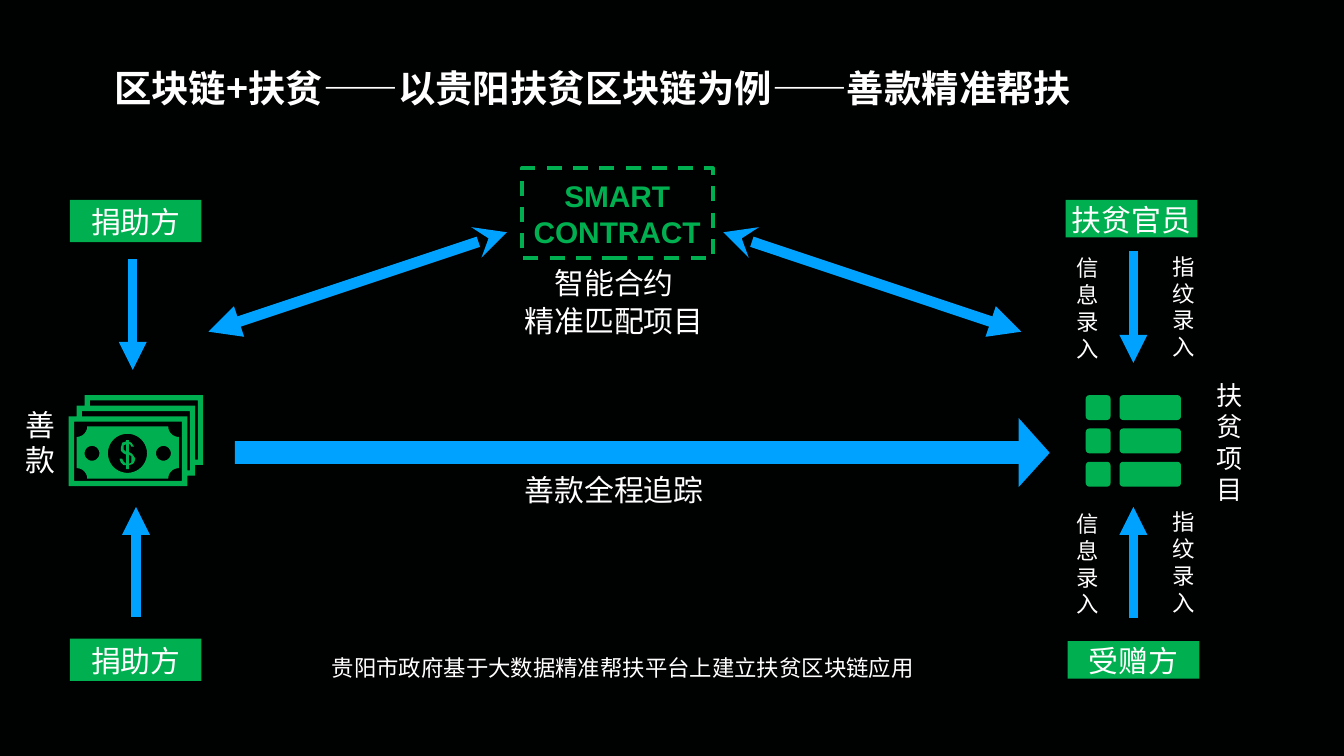
from math import cos, pi, sin

from lxml.etree import SubElement
from pptx import Presentation
from pptx.dml.color import RGBColor
from pptx.enum.dml import MSO_LINE as Dash
from pptx.enum.shapes import MSO_CONNECTOR as Connector, MSO_SHAPE as Preset
from pptx.enum.text import MSO_ANCHOR as Anchor, MSO_AUTO_SIZE as AutoSize, PP_ALIGN as Align
from pptx.oxml.ns import qn
from pptx.util import Cm, Pt


def colour(value):
    return RGBColor.from_string(value)


def arc(x, y, radius, start, end, steps=8):
    angles = [(start + (end - start) * i / steps) * pi / 180 for i in range(steps + 1)]
    return [(x + radius * cos(a), y + radius * sin(a)) for a in angles]


def circle(x, y, radius):
    return arc(x, y, radius, 0, 360, 40)


def rounded_box(left, top, width, height, radius):
    right, bottom = left + width - radius, top + height - radius
    corners = [(left + radius, top + radius), (right, top + radius),
               (right, bottom), (left + radius, bottom)]
    return [point for i, (x, y) in enumerate(corners)
            for point in arc(x, y, radius, 180 + 90 * i, 270 + 90 * i, 4)]


def notched_box(left, top, right, bottom, radius):
    corners = [(left, top), (right, top), (right, bottom), (left, bottom)]
    return [point for i, (x, y) in enumerate(corners)
            for point in arc(x, y, radius, 90 + 90 * i, 90 * i)]


def dollar_sign(x, y, unit=0.025):
    body = [(1, 9), (1, 12), (-1, 12), (-1, 9), (-3, 9), (-5, 7), (-6, 4), (-4, 4), (-3, 6),
            (-1, 8), (-1, 1), (-3, 0), (-5, -2), (-5, -4), (-4, -8), (-1, -9), (-1, -10),
            (1, -10), (1, -9), (3, -8), (5, -5), (3, -5), (2, -7), (1, -7), (1, -1),
            (3, 0), (4, 1), (6, 4), (5, 7), (4, 8)]
    upper_hole = [(-1, -7), (-3, -6), (-3, -3), (-1, -1)]
    lower_hole = [(3, 2), (1, 1), (1, 8), (3, 7), (3, 4)]
    return [[(x + dx * unit, y + dy * unit) for dx, dy in outline]
            for outline in (body, upper_hole, lower_hole)]


def banknotes(left=1.3, top=7.87, width=2.24, height=1.32, border=0.1):
    notes = [(left + 0.15 * k, top - 0.2 * k, left + 0.15 * k + width, top - 0.2 * k + height)
             for k in range(3)]
    outline = [(left, top + height)]
    for k, (l, t, r, b) in enumerate(notes):
        outline += [(l, t), (notes[min(k + 1, 2)][0], t)]
    for k, (l, t, r, b) in reversed(list(enumerate(notes))):
        outline += [(r, t), (r, b), (notes[max(k - 1, 0)][2], b)]
    l, t, r, b = notes[0]
    contours = [outline, [(l + border, t + border), (r - border, t + border),
                          (r - border, b - border), (l + border, b - border)]]
    for (_, front_top, front_right, _), (l, t, r, b) in zip(notes, notes[1:]):
        contours.append([(l + border, t + border), (r - border, t + border),
                         (r - border, b - border), (front_right, b - border),
                         (front_right, front_top), (l + border, front_top)])
    contours.append(notched_box(1.45, 8.06, 3.38, 9.05, 0.2))
    contours += [circle(x, 8.57, r) for x, r in ((1.74, 0.14), (2.41, 0.37), (3.09, 0.14))]
    return contours + dollar_sign(2.41, 8.57)


class Board:
    """Holds the style and the current slide, and draws each kind of element."""

    font, title_font = "Arial", "Noto Sans CJK SC"
    back, white, green, blue = "000101", "FFFFFF", "00B050", "00A2FF"

    def __init__(self, slide):
        self.slide = slide
        slide.background.fill.solid()
        slide.background.fill.fore_color.rgb = colour(self.back)

    def add_text(self, shape, text, size, ink=None, bold=False, font=None):
        frame = shape.text_frame
        frame.word_wrap = True
        frame.auto_size = AutoSize.SHAPE_TO_FIT_TEXT
        frame.margin_left = frame.margin_right = frame.margin_bottom = 0
        frame.margin_top = Cm(0.03)
        for i, line in enumerate(text.split("\n")):
            paragraph = frame.add_paragraph() if i else frame.paragraphs[0]
            paragraph.alignment = Align.CENTER
            if i:
                paragraph.space_before = Pt(1)
            run = paragraph.add_run()
            run.text = line
            run.font.size, run.font.bold = Pt(size), bold
            run.font.name = font or self.font
            run.font.color.rgb = colour(ink or self.white)
            SubElement(run.font._element, qn("a:ea"), typeface=font or self.font)
        return frame

    def label(self, text, left, top, width, height, size=16, **style):
        box = self.slide.shapes.add_textbox(Cm(left), Cm(top), Cm(width), Cm(height))
        return self.add_text(box, text, size, **style)

    def title(self, text, left, top, width, height):
        frame = self.label(text, left, top, width, height, 20, bold=True, font=self.title_font)
        frame.auto_size = AutoSize.NONE
        frame.vertical_anchor = Anchor.MIDDLE
        frame.margin_left = frame.margin_right = Cm(0.08)
        frame.margin_top = frame.margin_bottom = Cm(0.05)
        frame.paragraphs[0].alignment = Align.LEFT
        frame.paragraphs[0].line_spacing = 0.9

    def box(self, text, left, top, width, height, dashed=False):
        shape = self.slide.shapes.add_shape(
            Preset.RECTANGLE, Cm(left), Cm(top), Cm(width), Cm(height))
        shape.shadow.inherit = False
        if dashed:
            shape.fill.background()
            shape.line.color.rgb = colour(self.green)
            shape.line.width, shape.line.dash_style = Pt(2), Dash.DASH
        else:
            shape.fill.solid()
            shape.fill.fore_color.rgb = colour(self.green)
            shape.line.fill.background()
        frame = self.add_text(shape, text, 16, self.green if dashed else self.white, dashed)
        frame.vertical_anchor = Anchor.MIDDLE

    def arrow(self, start, end, width=5, head=None, tail="triangle"):
        line = self.slide.shapes.add_connector(
            Connector.STRAIGHT, *(Cm(value) for value in (*start, *end)))
        line.line.color.rgb = colour(self.blue)
        line.line.width = Pt(width)
        properties = line._element.spPr
        stroke = properties.find(qn("a:ln"))
        for tag, kind in (("a:headEnd", head), ("a:tailEnd", tail)):
            if kind:
                SubElement(stroke, qn(tag), type=kind)
        SubElement(properties, qn("a:effectLst"))

    def outline(self, contours, fill):
        rings = [[(Cm(x), Cm(y)) for x, y in contour] for contour in contours]
        builder = self.slide.shapes.build_freeform(*rings[0][0])
        builder.add_line_segments(rings[0][1:], close=True)
        for ring in rings[1:]:
            builder.move_to(*ring[0])
            builder.add_line_segments(ring[1:], close=True)
        shape = builder.convert_to_shape()
        shape.shadow.inherit = False
        shape.fill.solid()
        shape.fill.fore_color.rgb = colour(fill)
        shape.line.fill.background()


def main():
    presentation = Presentation()
    presentation.slide_width, presentation.slide_height = Cm(25.4), Cm(14.29)
    board = Board(presentation.slides.add_slide(presentation.slide_layouts[6]))

    board.outline([[(19.25, 7.9), (19.25, 8.34), (4.44, 8.34), (4.44, 8.77),
                    (19.25, 8.77), (19.25, 9.21), (19.84, 8.56)]], board.blue)
    board.label("贵阳市政府基于大数据精准帮扶平台上建立扶贫区块链应用", 3.38, 12.34, 16.79, 0.53, 12)
    board.title("区块链+扶贫——以贵阳扶贫区块链为例——善款精准帮扶", 2.08, 1.09, 19.86, 1.22)

    board.outline(banknotes(), board.green)
    board.outline([rounded_box(left, 7.47 + 0.63 * row, width, 0.47, 0.07)
                   for left, width in ((20.52, 0.47), (21.16, 1.16)) for row in range(3)],
                  board.green)

    board.box("SMART CONTRACT", 9.86, 3.18, 3.61, 1.7, dashed=True)
    for outer, inner in ((3.94, 9.58), (19.3, 13.67)):
        board.arrow((outer, 6.27), (inner, 4.39), 5.75, "triangle", "stealth")
    board.label("智能合约\n精准匹配项目", 9.86, 4.98, 3.5, 1.42)
    board.label("善款全程追踪", 9.86, 8.89, 3.5, 0.71)
    board.label("善款", 0.25, 7.65, 1.02, 1.4)
    board.label("扶贫项目", 22.81, 7.14, 0.84, 2.41, 14)

    for text, left, top, height in (("捐助方", 1.32, 3.78, 0.8), ("捐助方", 1.32, 12.07, 0.8),
                                    ("扶贫官员", 20.14, 3.78, 0.71),
                                    ("受赠方", 20.18, 12.12, 0.71)):
        board.box(text, left, top, 2.49, height)
    for x, start, end in ((2.51, 4.9, 6.99), (2.57, 11.66, 9.58),
                          (21.42, 4.75, 6.86), (21.42, 11.68, 9.58)):
        board.arrow((x, start), (x, end))
    for top in (4.75, 9.58):
        board.label("指纹录入", 21.95, top, 0.84, 2.08, 12)
        board.label("信息录入", 20.14, top + 0.03, 0.84, 2.08, 12)

    presentation.save("out.pptx")


if __name__ == "__main__":
    main()
